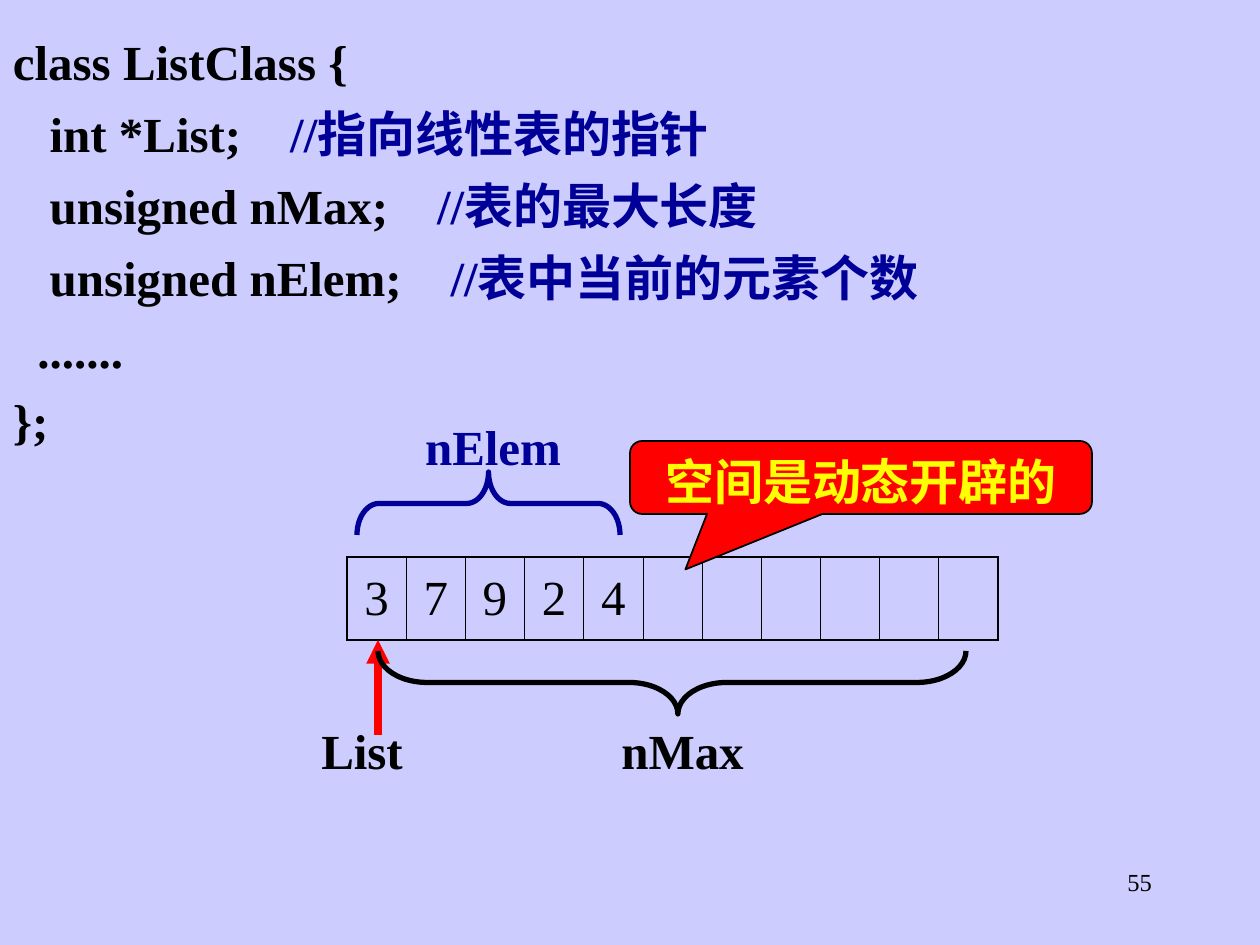
"""Builds a slide on a list class and the array its pointer refers to."""
from dataclasses import dataclass

from lxml.etree import SubElement
from pptx import Presentation
from pptx.dml.color import RGBColor
from pptx.enum.shapes import MSO_CONNECTOR, MSO_SHAPE
from pptx.enum.text import MSO_ANCHOR, PP_ALIGN
from pptx.oxml.ns import qn
from pptx.util import Pt


@dataclass(frozen=True)
class Theme:
    """Colours, type sizes and line widths of the slide."""
    font: str = "Times New Roman"
    background: str = "CCCCFF"
    ink: str = "000000"
    accent: str = "000099"
    alert: str = "FF0000"
    highlight: str = "FFFF00"
    body: int = 28
    small: int = 14
    gap: float = 17.5
    thin: float = 0.5
    outline: float = 1
    brace: float = 3
    arrow: float = 4.5


def px(length):
    """Turns pixels into EMU."""
    return round(length * 914400 / 126)


def rgb(color):
    """Reads a hex colour."""
    return RGBColor.from_string(color)


class SlideBuilder:
    """Draws elements on one slide in one style."""

    def __init__(self, slide, theme):
        """Keeps the slide and theme and paints the background."""
        self.slide, self.theme = slide, theme
        slide.background.fill.solid()
        slide.background.fill.fore_color.rgb = rgb(theme.background)

    def style(self, font, color=None, size=None, bold=None):
        """Applies the typeface, size, weight and optional colour."""
        font.name, font.size, font.bold = self.theme.font, Pt(size or self.theme.body), bold
        if color:
            font.color.rgb = rgb(color)

    def frame(self, shape, side, end):
        """Prepares a wrapped, top-anchored text frame with margins."""
        frame = shape.text_frame
        frame.word_wrap, frame.vertical_anchor = True, MSO_ANCHOR.TOP
        frame.margin_left = frame.margin_right = px(side)
        frame.margin_top = frame.margin_bottom = px(end)
        return frame

    def text_box(self, box, side, end):
        """Adds an empty text box and returns its frame."""
        return self.frame(self.slide.shapes.add_textbox(*map(px, box)), side, end)

    def caption(self, frame, text, color):
        """Writes one bold centred line."""
        line = frame.paragraphs[0]
        line.text, line.alignment, line.line_spacing = text, PP_ALIGN.CENTER, 1.1
        self.style(line.font, color, bold=True)

    def label(self, text, box, color):
        """Adds a caption without a frame."""
        self.caption(self.text_box(box, 2, 1), text, color)

    def page_number(self, text, box):
        """Adds the page number."""
        line = self.text_box(box, 13, 6).paragraphs[0]
        line.text, line.alignment = text, PP_ALIGN.RIGHT
        self.style(line.font, self.theme.ink, self.theme.small)

    def code(self, lines, box):
        """Adds code lines, each a statement and a comment."""
        frame = self.text_box(box, 13, 6)
        for index, (statement, comment) in enumerate(lines):
            line = frame.add_paragraph() if index else frame.paragraphs[0]
            line.line_spacing = 0.7
            if index:
                line.space_before = Pt(self.theme.gap)
            self.style(line.font, bold=True)
            for text, color in ((statement, self.theme.ink), (comment, self.theme.accent)):
                if text:
                    run = line.add_run()
                    run.text = text
                    run.font.color.rgb = rgb(color)

    def border(self, cell, edge, width):
        """Draws one cell border."""
        line = SubElement(cell._tc.get_or_add_tcPr(), qn(f"a:{edge}"), w=str(Pt(width)))
        SubElement(SubElement(line, qn("a:solidFill")), qn("a:srgbClr"), val=self.theme.ink)

    def array(self, values, capacity, box):
        """Adds a one-row table with its first cells filled."""
        table = self.slide.shapes.add_table(1, capacity, *map(px, box)).table
        table.first_row = table.horz_banding = False
        inner, outer = self.theme.thin, self.theme.outline
        for index, cell in enumerate(table.iter_cells()):
            self.border(cell, "lnL", inner if index else outer)
            self.border(cell, "lnR", inner if index < capacity - 1 else outer)
            self.border(cell, "lnT", outer)
            self.border(cell, "lnB", outer)
            cell.fill.background()
            cell.vertical_anchor = MSO_ANCHOR.MIDDLE
            cell.margin_left = cell.margin_right = px(2)
            cell.margin_top = cell.margin_bottom = px(6)
            line = cell.text_frame.paragraphs[0]
            line.alignment = PP_ALIGN.CENTER
            if index < len(values):
                line.text = values[index]
            self.style(line.font, self.theme.ink)

    def arrow(self, start, end):
        """Adds a straight arrow."""
        arrow = self.slide.shapes.add_connector(
            MSO_CONNECTOR.STRAIGHT, *map(px, (*start, *end)))
        arrow.line.color.rgb = rgb(self.theme.alert)
        arrow.line.width = Pt(self.theme.arrow)
        SubElement(arrow.line._get_or_add_ln(), qn("a:tailEnd"), type="triangle")
        SubElement(arrow._element.spPr, qn("a:effectLst"))

    def brace(self, kind, box, color, tip=0.5):
        """Adds a brace turned to lie along its box."""
        left, top, width, height = box
        shift = (width - height) / 2
        brace = self.slide.shapes.add_shape(
            kind, *map(px, (left + shift, top - shift, height, width)))
        brace.rotation = 90
        brace.adjustments[0], brace.adjustments[1] = width / height / 12, tip
        brace.shadow.inherit = False
        brace.fill.background()
        brace.line.color.rgb = rgb(color)
        brace.line.width = Pt(self.theme.brace)

    def callout(self, text, box, pointer):
        """Adds a filled speech bubble."""
        bubble = self.slide.shapes.add_shape(
            MSO_SHAPE.ROUNDED_RECTANGULAR_CALLOUT, *map(px, box))
        bubble.adjustments[0], bubble.adjustments[1] = pointer
        bubble.shadow.inherit = False
        bubble.fill.solid()
        bubble.fill.fore_color.rgb = rgb(self.theme.alert)
        bubble.line.color.rgb = rgb(self.theme.ink)
        bubble.line.width = Pt(self.theme.outline)
        self.caption(self.frame(bubble, 2, 1), text, self.theme.highlight)


def main():
    """Builds and saves the slide."""
    deck = Presentation()
    deck.slide_width, deck.slide_height = px(1260), px(945)
    theme = Theme()
    page = SlideBuilder(deck.slides.add_slide(deck.slide_layouts[6]), theme)
    page.page_number("55", (903, 861, 262, 63))
    page.code([
        ("class ListClass {", ""),
        ("   int *List;    ", "//指向线性表的指针"),
        ("   unsigned nMax;    ", "//表的最大长度"),
        ("   unsigned nElem;    ", "//表中当前的元素个数"),
        ("  .......", ""),
        ("};", ""),
    ], (0, 42, 1260, 413))
    page.array("37924", 11, (347, 557, 651, 83))
    page.label("List", (315, 714, 94, 68), theme.ink)
    page.arrow((378, 735), (378, 640))
    page.brace(MSO_SHAPE.LEFT_BRACE, (357, 472, 263, 63), theme.accent)
    page.label("nElem", (388, 410, 210, 68), theme.accent)
    page.brace(MSO_SHAPE.RIGHT_BRACE, (378, 651, 588, 63), theme.ink, 0.49)
    page.label("nMax", (546, 714, 273, 68), theme.ink)
    page.callout("空间是动态开辟的", (630, 441, 462, 73), (-0.38, 1.26))
    deck.save("out.pptx")


if __name__ == "__main__":
    main()
